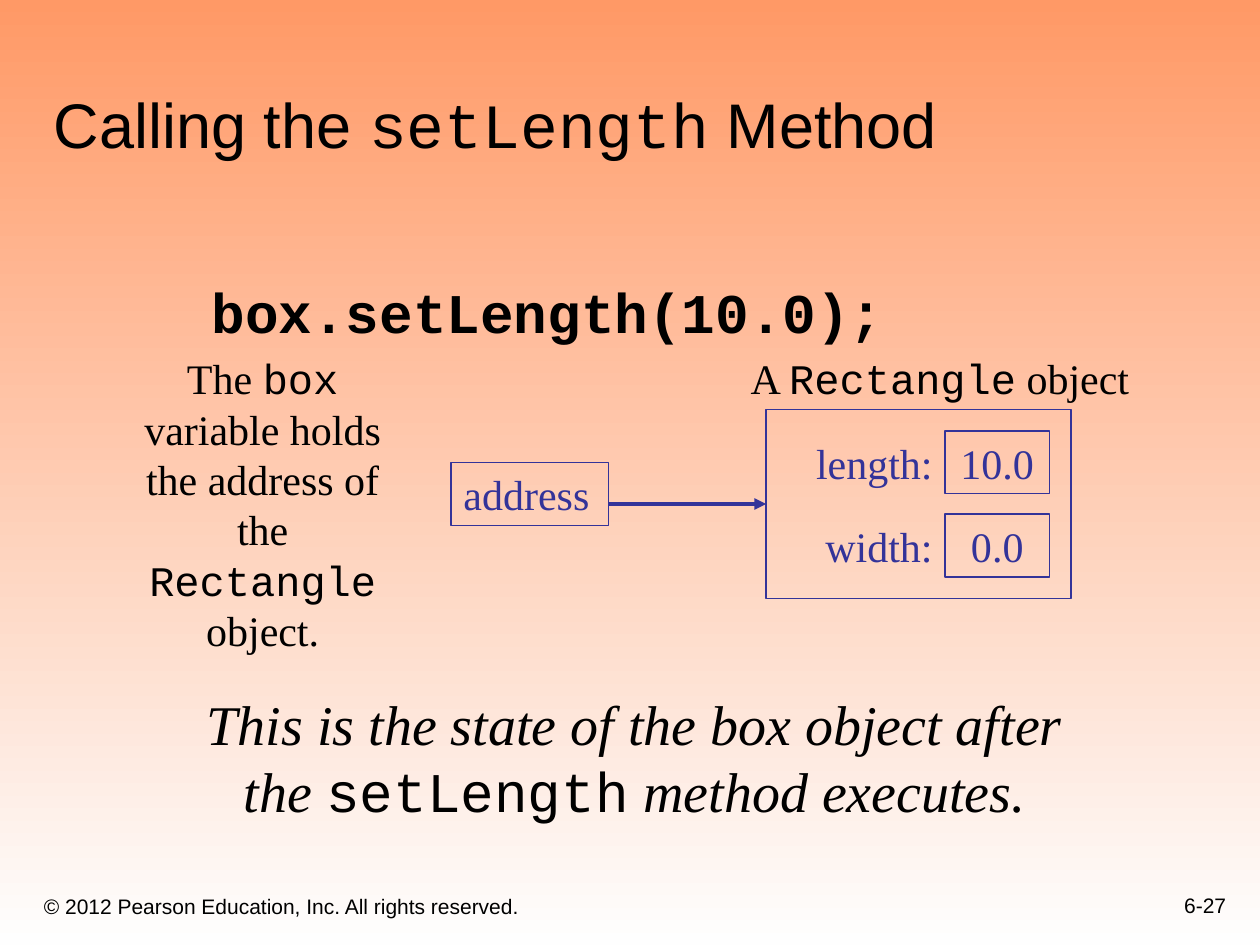
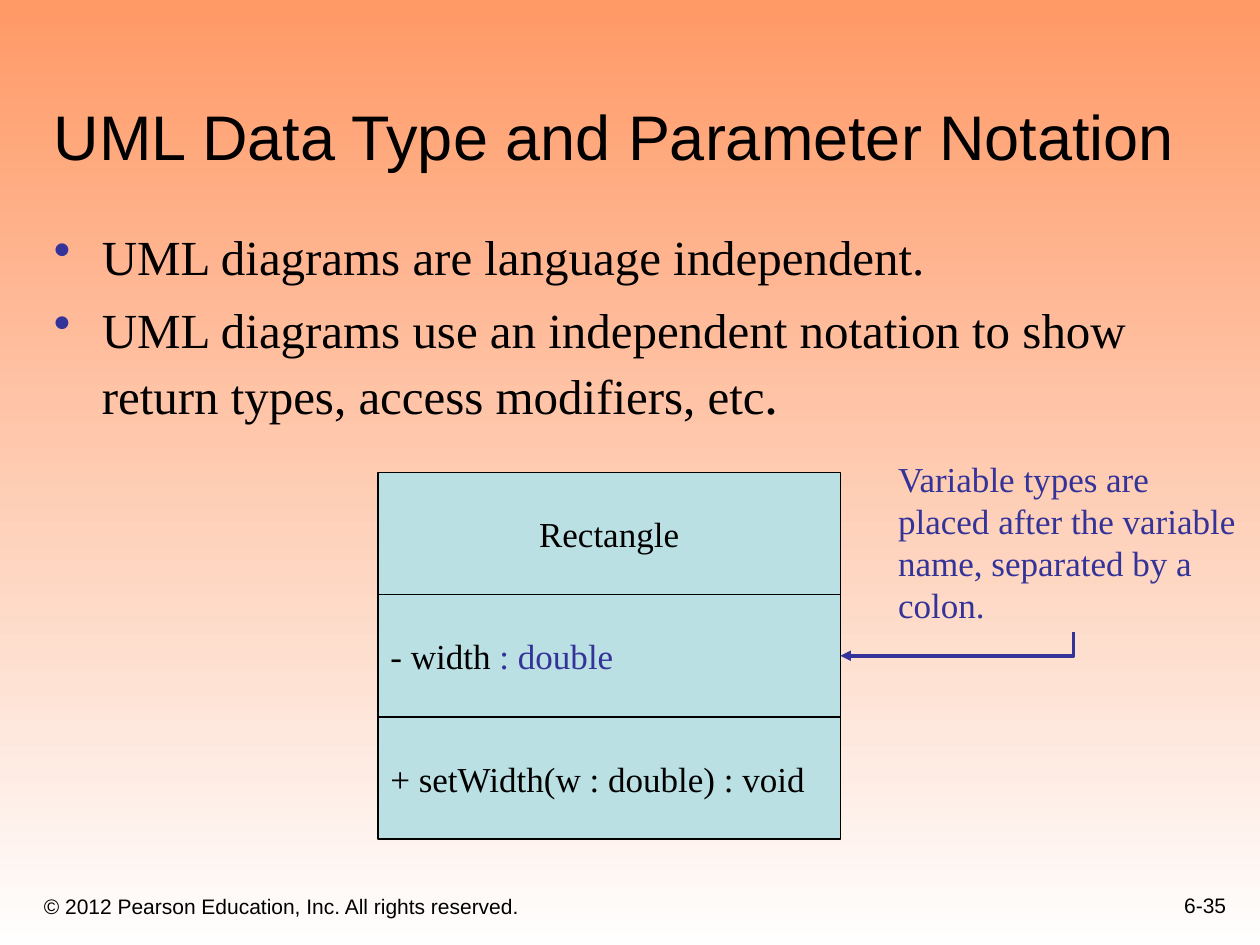
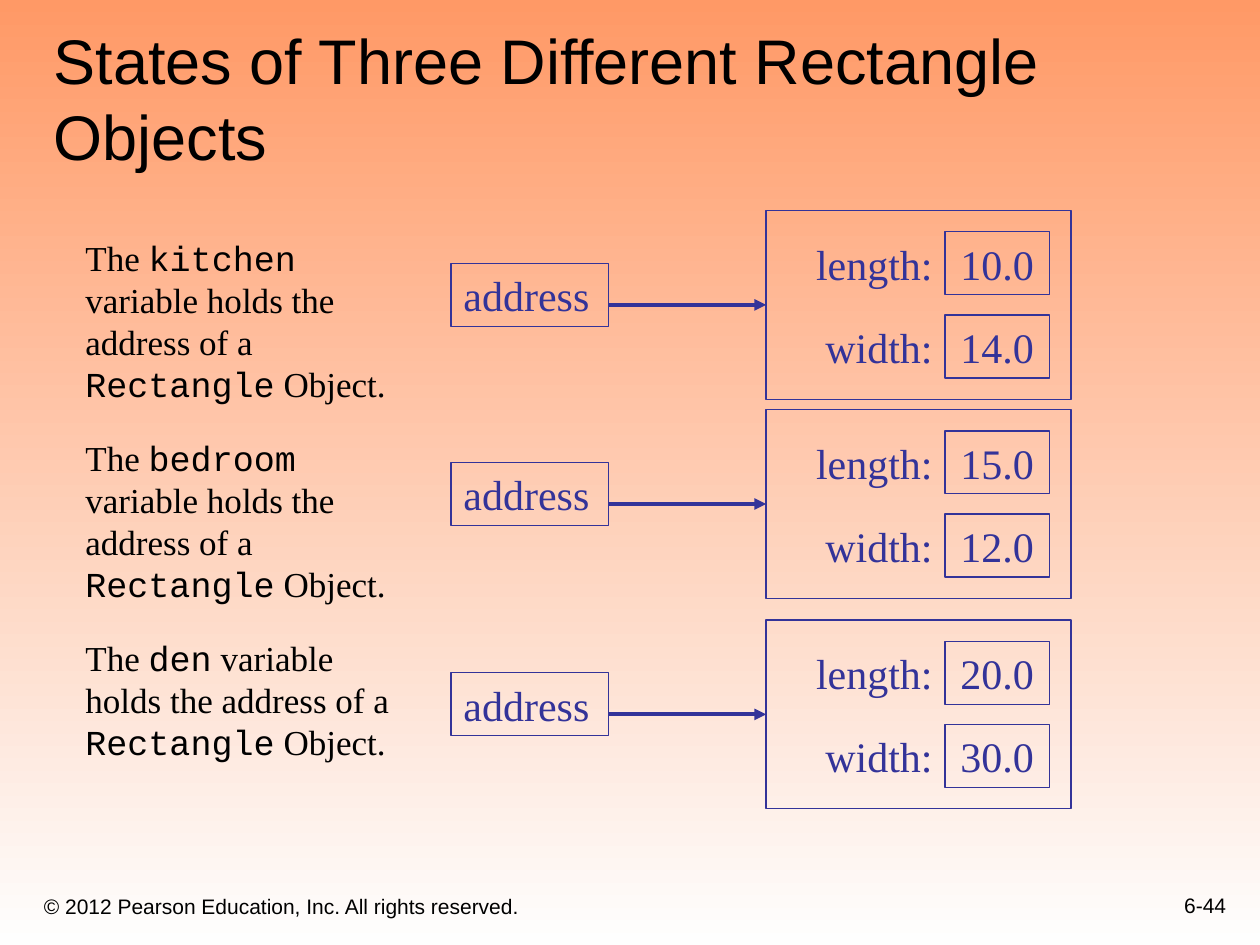
from lxml import etree
from pptx import Presentation
from pptx.dml.color import RGBColor
from pptx.enum.shapes import MSO_CONNECTOR, MSO_SHAPE
from pptx.enum.text import MSO_ANCHOR, PP_ALIGN
from pptx.oxml.ns import qn
from pptx.util import Inches, Pt

ORANGE = RGBColor(0xFF, 0x99, 0x66)
NEAR_WHITE = RGBColor(0xFE, 0xFE, 0xFE)
BLACK = RGBColor(0x00, 0x00, 0x00)
INDIGO = RGBColor(0x33, 0x33, 0x99)
PALE_TEAL = RGBColor(0xBB, 0xE0, 0xE3)

SANS, SERIF, MONO = "Arial", "Times New Roman", "Courier New"
CODE = {"font": MONO, "italic": False}

LEFT, CENTER, RIGHT = PP_ALIGN.LEFT, PP_ALIGN.CENTER, PP_ALIGN.RIGHT
TOP, MIDDLE, BOTTOM = MSO_ANCHOR.TOP, MSO_ANCHOR.MIDDLE, MSO_ANCHOR.BOTTOM
STRAIGHT, ELBOW = MSO_CONNECTOR.STRAIGHT, MSO_CONNECTOR.ELBOW
RECTANGLE = MSO_SHAPE.RECTANGLE
LEFT_SIDE = 1

COPYRIGHT = "© 2012 Pearson Education, Inc. All rights reserved."
TITLE_BOX = (0.33, 0.33, 9.42, 1.09)


# ---- Text and shapes ----
def write(shape, *paragraphs, size=24, font=SERIF, color=BLACK, bold=False,
          italic=False, align=LEFT, anchor=TOP, wrap=True, right_inset=0.1,
          bullet=None, space_before=0):
    """Each paragraph is a string or a list of strings and (string, format) pairs."""
    frame = shape.text_frame
    frame.word_wrap = wrap
    frame.vertical_anchor = anchor
    frame.margin_right = Inches(right_inset)
    for index, runs in enumerate(paragraphs):
        paragraph = frame.add_paragraph() if index else frame.paragraphs[0]
        paragraph.alignment = align
        if index:
            paragraph.space_before = Pt(space_before)
        if bullet:
            add_bullet(paragraph, bullet)
        for part in [runs] if isinstance(runs, str) else runs:
            text, changes = (part, {}) if isinstance(part, str) else part
            run = paragraph.add_run()
            run.text = text
            run.font.name = changes.get("font", font)
            run.font.size = Pt(changes.get("size", size))
            run.font.bold = bold
            run.font.italic = changes.get("italic", italic)
            run.font.color.rgb = changes.get("color", color)


def add_bullet(paragraph, color):
    properties = paragraph._p.get_or_add_pPr()
    properties.set("marL", str(Inches(0.38)))
    properties.set("indent", str(-Inches(0.38)))
    bullet_color = etree.SubElement(properties, qn("a:buClr"))
    etree.SubElement(bullet_color, qn("a:srgbClr"), val=str(color))
    etree.SubElement(properties, qn("a:buChar"), char="•")


def add_text(slide, box, *paragraphs, **text_format):
    shape = slide.shapes.add_textbox(*map(Inches, box))
    write(shape, *paragraphs, **text_format)


def add_box(shapes, box, fill=None, line=INDIGO):
    shape = shapes.add_shape(RECTANGLE, *map(Inches, box))
    shape.shadow.inherit = False
    if fill is None:
        shape.fill.background()
    else:
        shape.fill.solid()
        shape.fill.fore_color.rgb = fill
    shape.line.color.rgb = line
    shape.line.width = Pt(0.75)
    return shape


def add_arrow(slide, kind, start, end, width):
    connector = slide.shapes.add_connector(kind, *map(Inches, start + end))
    connector.line.color.rgb = INDIGO
    connector.line.width = Pt(width)
    etree.SubElement(connector.line._get_or_add_ln(), qn("a:tailEnd"), type="triangle")
    etree.SubElement(connector._element.spPr, qn("a:effectLst"))
    return connector


def add_corner_arrow(slide, start, end, width):
    """Arrow that drops from start, then runs left to end."""
    run, drop = start[0] - end[0], end[1] - start[1]
    left = (start[0] + end[0] - drop) / 2
    top = (start[1] + end[1] - run) / 2
    connector = add_arrow(slide, ELBOW, (left, top), (left + drop, top + run), width)
    properties = connector._element.spPr
    properties.find(qn("a:xfrm")).set("rot", "5400000")
    properties.find(qn("a:prstGeom")).set("prst", "bentConnector2")


# ---- Parts the slides share ----
def set_background(master):
    fill = master.background.fill
    fill.gradient()
    fill.gradient_angle = 270
    for stop, position, color in zip(fill.gradient_stops, (0, 1), (ORANGE, NEAR_WHITE)):
        stop.position = position
        stop.color.rgb = color


def add_slide(presentation, title, page, title_box=TITLE_BOX):
    slide = presentation.slides.add_slide(presentation.slide_layouts[6])
    footer = {"size": 12, "font": SANS, "anchor": BOTTOM}
    add_text(slide, (0.25, 6.92, 6.08, 0.42), COPYRIGHT, **footer)
    add_text(slide, (7.75, 6.83, 2.08, 0.5), page, align=RIGHT, **footer)
    add_text(slide, title_box, title, size=36, font=SANS, anchor=BOTTOM)
    return slide


def add_object_diagram(slide, left, top, length, width):
    """Address cell that points to a Rectangle object with its two fields."""
    object_left, middle = left + 2.5, top + 0.75
    address = add_box(slide.shapes, (left, top + 0.42, 1.25, 0.5))
    write(address, "address", color=INDIGO)
    rectangle_object = add_box(slide.shapes, (object_left, top, 2.42, 1.5))
    for row, (name, value) in enumerate((("length:", length), ("width:", width))):
        field_top = top + 0.17 + row * 0.66
        add_text(slide, (object_left + 0.17, field_top, 1.25, 0.5), name,
                 color=INDIGO, align=RIGHT)
        cell = add_box(slide.shapes, (object_left + 1.42, field_top, 0.83, 0.5))
        write(cell, value, color=INDIGO, align=CENTER)
    arrow = add_arrow(slide, STRAIGHT, (left + 1.25, middle), (object_left, middle), 2.25)
    arrow.end_connect(rectangle_object, LEFT_SIDE)


def add_class_diagram(slide, left, top, width, row_height):
    sections = (
        ("Rectangle", CENTER),
        (["- width ", (": double", {"color": INDIGO})], LEFT),
        ("+ setWidth(w : double) : void", LEFT),
    )
    group = slide.shapes.add_group_shape()
    for row, (text, align) in enumerate(sections):
        box = (left, top + row * row_height, width, row_height)
        section = add_box(group.shapes, box, fill=PALE_TEAL, line=BLACK)
        write(section, text, size=20, align=align, anchor=MIDDLE, wrap=False)


# ---- Slides ----
def build_set_length(presentation):
    title = ["Calling the ", ("setLength", CODE), " Method"]
    slide = add_slide(presentation, title, "6-27", (0.33, 0.08, 8.5, 1.25))
    add_text(slide, (1.58, 2.15, 6.14, 0.73), "box.setLength(10.0);",
             size=32, font=MONO, bold=True, right_inset=0)
    add_object_diagram(slide, 3.58, 3.25, "10.0", "0.0")
    add_text(slide, (0.92, 2.75, 2.33, 2.5),
             ["The ", ("box ", CODE), "variable holds the address of the ",
              ("Rectangle", CODE), " object."], align=CENTER)
    add_text(slide, (5.5, 2.75, 3.92, 0.5),
             ["A ", ("Rectangle", CODE), " object"], align=CENTER)
    add_text(slide, (1.5, 5.42, 7.08, 1.17),
             ["This is the state of the box object after the ",
              ("setLength", CODE), " method executes."],
             size=32, italic=True, align=CENTER)


def build_uml_notation(presentation):
    slide = add_slide(presentation, "UML Data Type and Parameter Notation", "6-35")
    add_text(slide, (0.33, 1.75, 9.07, 1.94),
             "UML diagrams are language independent.",
             ["UML diagrams use an independent notation to show return types, "
              "access modifiers, etc", (".", {"size": 32})],
             size=28, bullet=INDIGO, space_before=8, right_inset=0)
    left, top, width, row_height = 3, 3.75, 3.67, 0.97
    add_class_diagram(slide, left, top, width, row_height)
    add_text(slide, (7.03, 3.58, 2.97, 1.44),
             "Variable types are placed after the variable name, separated by a colon.",
             size=20, color=INDIGO)
    add_corner_arrow(slide, (8.52, 5.02), (left + width, top + 1.5 * row_height), 2)


def build_three_states(presentation):
    slide = add_slide(presentation, "States of Three Different Rectangle Objects", "6-44")
    rooms = (
        ("kitchen", 1.67, "10.0", "14.0"),
        ("bedroom", 3.25, "15.0", "12.0"),
        ("den", 4.92, "20.0", "30.0"),
    )
    for row, (room, top, length, width) in enumerate(rooms):
        add_object_diagram(slide, 3.58, top, length, width)
        add_text(slide, (0.58, 1.83 + row * 1.585, 2.83, 1.44),
                 ["The ", (room, CODE), " variable holds the address of a ",
                  ("Rectangle", CODE), " Object."], size=20)


def main():
    presentation = Presentation()
    presentation.slide_width, presentation.slide_height = Inches(10), Inches(7.5)
    set_background(presentation.slide_master)
    build_set_length(presentation)
    build_uml_notation(presentation)
    build_three_states(presentation)
    presentation.save("out.pptx")


if __name__ == "__main__":
    main()
